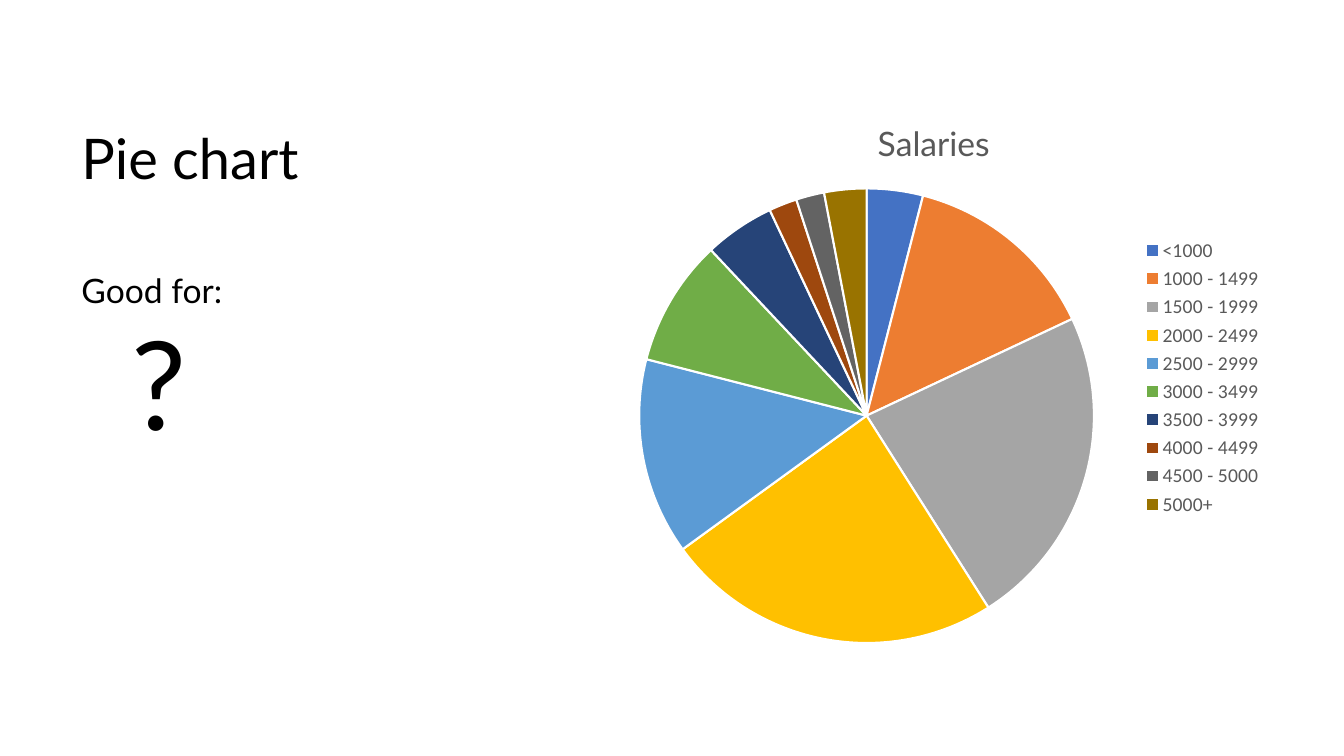
from lxml import etree
from pptx import Presentation
from pptx.chart.data import CategoryChartData
from pptx.dml.color import RGBColor
from pptx.enum.chart import XL_CHART_TYPE, XL_LEGEND_POSITION
from pptx.enum.text import MSO_ANCHOR
from pptx.util import Inches, Pt

PIE = XL_CHART_TYPE.PIE
RIGHT = XL_LEGEND_POSITION.RIGHT
TOP, MIDDLE = MSO_ANCHOR.TOP, MSO_ANCHOR.MIDDLE
CHART_SPACE = "http://schemas.openxmlformats.org/drawingml/2006/chart"

HEADING = [("Pie chart", 40, 0)]
BODY = [("Good for:", 24, 10), ("\t?", 88, 10)]
CHART_TITLE = "Salaries"
SALARIES = [
    ("<1000", 4, "4472C4"),
    ("1000 - 1499", 14, "ED7D31"),
    ("1500 - 1999", 23, "A5A5A5"),
    ("2000 - 2499", 24, "FFC000"),
    ("2500 - 2999", 14, "5B9BD5"),
    ("3000 - 3499", 9, "70AD47"),
    ("3500 - 3999", 5, "264478"),
    ("4000 - 4499", 2, "9E480E"),
    ("4500 - 5000", 2, "636363"),
    ("5000+", 3, "997300"),
]
CHART_AREA = (5.89, 0.96, 6.74, 5.57)
PIE_AREA = (6.34, 1.87, 4.51, 4.51)


def color(value):
    return RGBColor.from_string(value)


def style(font, size, shade, name):
    font.size, font.name, font.bold = Pt(size), name, False
    font.color.rgb = color(shade)


def add_text(page, lines, area, anchor=TOP, shade="000000", name="Lato"):
    box = page.shapes.add_textbox(*map(Inches, area))
    frame = box.text_frame
    frame.word_wrap = True
    frame.vertical_anchor = anchor
    for index, (text, size, before) in enumerate(lines):
        para = frame.add_paragraph() if index else frame.paragraphs[0]
        para.line_spacing = 0.9
        para.space_before = Pt(before)
        span = para.add_run()
        span.text = text
        style(span.font, size, shade, name)


def place_plot(chart, chart_area, plot_area):
    left, top, width, height = chart_area
    x, y, w, h = plot_area
    settings = [
        ("layoutTarget", "inner"), ("xMode", "edge"), ("yMode", "edge"),
        ("x", (x - left) / width), ("y", (y - top) / height),
        ("w", w / width), ("h", h / height),
    ]
    plot = chart.element.find(f".//{{{CHART_SPACE}}}plotArea")
    for old in plot.findall(f"{{{CHART_SPACE}}}layout"):
        plot.remove(old)
    layout = etree.Element(f"{{{CHART_SPACE}}}layout")
    manual = etree.SubElement(layout, f"{{{CHART_SPACE}}}manualLayout")
    for tag, value in settings:
        etree.SubElement(manual, f"{{{CHART_SPACE}}}{tag}", val=str(value))
    plot.insert(0, layout)


def add_salary_pie(page):
    data = CategoryChartData()
    data.categories = [label for label, _, _ in SALARIES]
    data.add_series("Series 1", [share for _, share, _ in SALARIES])
    chart = page.shapes.add_chart(PIE, *map(Inches, CHART_AREA), data).chart
    style(chart.font, 10, "000000", "Calibri")

    chart.has_title = True
    para = chart.chart_title.text_frame.paragraphs[0]
    span = para.add_run()
    span.text = CHART_TITLE
    style(span.font, 24, "595959", "Lato")
    chart.chart_title.include_in_layout = False

    chart.has_legend = True
    chart.legend.position = RIGHT
    chart.legend.include_in_layout = False
    style(chart.legend.font, 14, "595959", "Calibri")

    plot = chart.plots[0]
    plot.vary_by_categories = True
    for index, (_, _, shade) in enumerate(SALARIES):
        slice_format = plot.series[0].points[index].format
        slice_format.fill.solid()
        slice_format.fill.fore_color.rgb = color(shade)
        slice_format.line.color.rgb = color("FFFFFF")
        slice_format.line.width = Pt(1.5)
    place_plot(chart, CHART_AREA, PIE_AREA)


def main():
    deck = Presentation()
    deck.slide_width, deck.slide_height = Inches(13.33), Inches(7.5)
    page = deck.slides.add_slide(deck.slide_layouts[6])
    add_text(page, HEADING, (0.71, 0.69, 5.95, 1.83), anchor=MIDDLE)
    add_text(page, BODY, (0.71, 2.67, 5.61, 4.14))
    add_salary_pie(page)
    deck.save("out.pptx")


if __name__ == "__main__":
    main()
